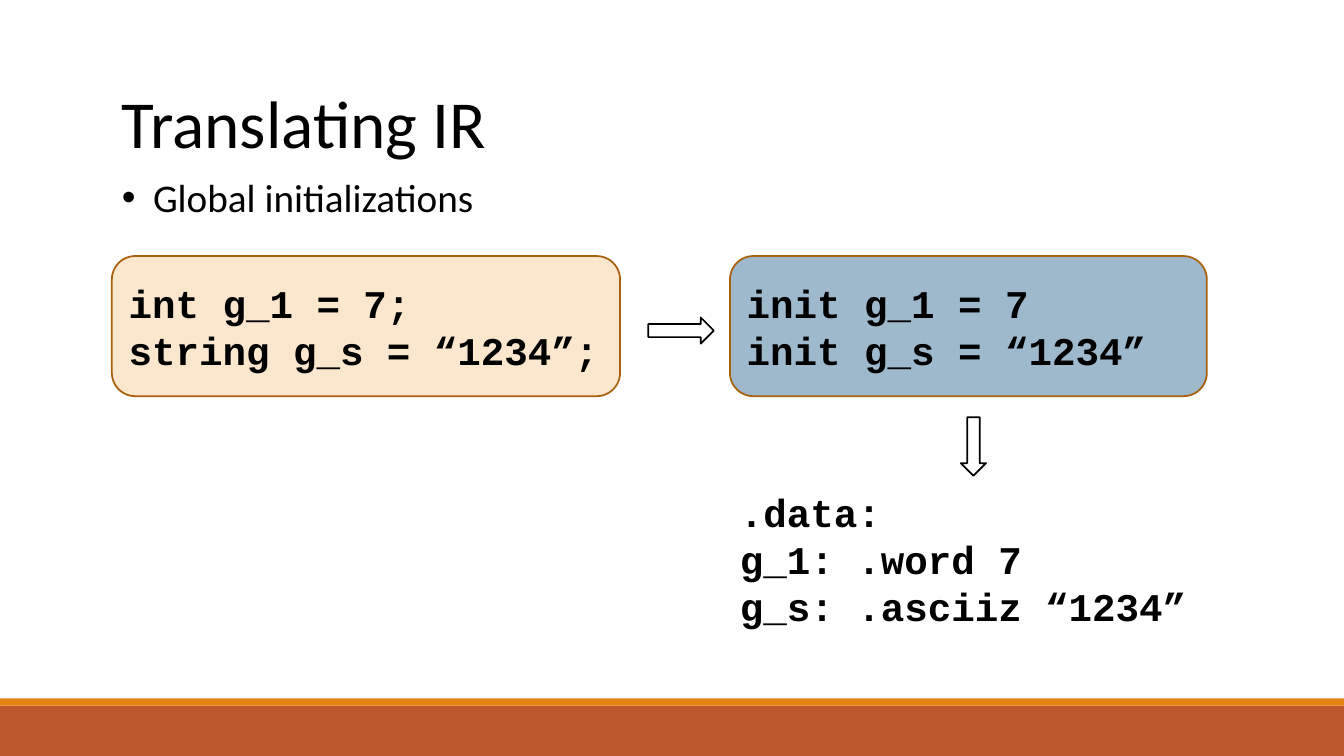
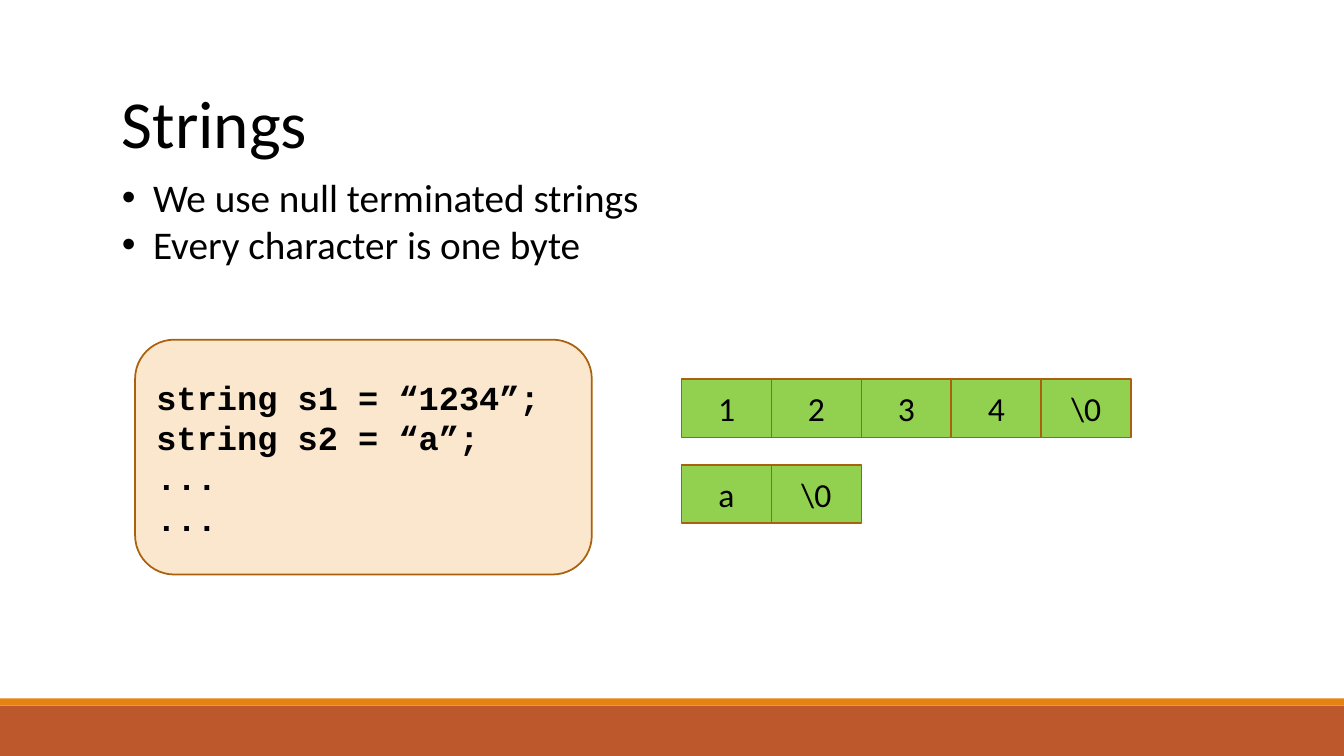
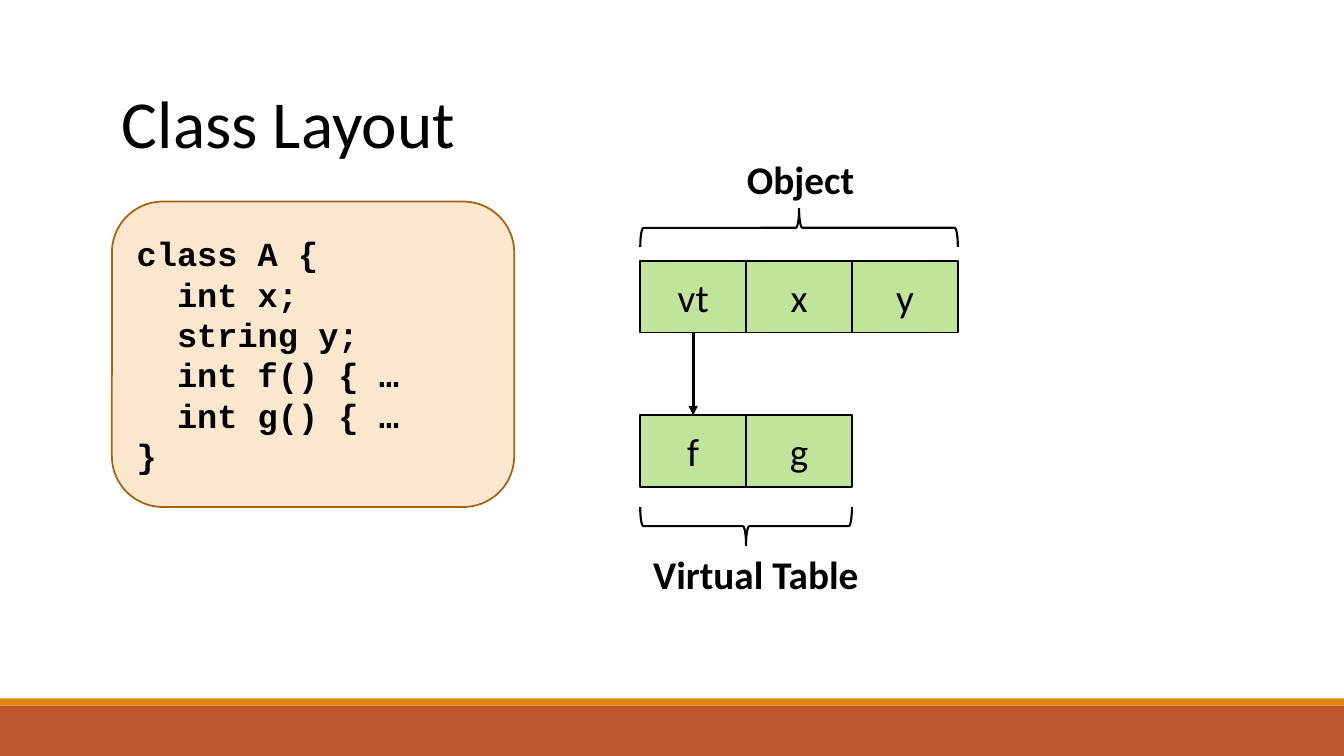
"""Build three compiler-course slides on IR globals, strings and class layout."""
from dataclasses import dataclass

from lxml import etree
from pptx import Presentation
from pptx.dml.color import RGBColor
from pptx.enum.shapes import MSO_CONNECTOR, MSO_SHAPE
from pptx.enum.text import MSO_ANCHOR, MSO_AUTO_SIZE, PP_ALIGN
from pptx.oxml.ns import qn
from pptx.util import Inches, Pt

RECT, ROUNDED = MSO_SHAPE.RECTANGLE, MSO_SHAPE.ROUNDED_RECTANGLE
RIGHT_ARROW, DOWN_ARROW = MSO_SHAPE.RIGHT_ARROW, MSO_SHAPE.DOWN_ARROW
BRACE, STRAIGHT = MSO_SHAPE.LEFT_BRACE, MSO_CONNECTOR.STRAIGHT
LEFT, CENTER = PP_ALIGN.LEFT, PP_ALIGN.CENTER
TOP, MIDDLE = MSO_ANCHOR.TOP, MSO_ANCHOR.MIDDLE
GROW = MSO_AUTO_SIZE.SHAPE_TO_FIT_TEXT
BOTTOM_SITE, TOP_SITE = 2, 0


@dataclass(frozen=True)
class Theme:
    body_font: str = "Calibri"
    code_font: str = "Courier New"
    title_size: int = 48
    text_size: int = 28
    small_size: int = 24
    ink: str = "000000"
    paper: str = "FFFFFF"
    footer: str = "BD582C"
    accent: str = "E48312"
    outline: str = "A9610D"
    source_fill: str = "FBE6CE"
    ir_fill: str = "40749B"
    cell_fill: str = "92D050"
    thin: float = 1.25
    brace: float = 1.5
    pointer: float = 2.25


THEME = Theme()
SLIDE_SIZE = (13.33, 7.5)
BANDS = [(7, 0.5, THEME.footer), (6.93, 0.07, THEME.accent)]
MARGIN = 1.11
TITLE_BOX = (MARGIN, 0.76, 11.09, 0.91)
BULLET_TOP, BULLET_WIDTH, BULLET_LINE = 1.67, 11.27, 0.47
BULLET_INDENT = 0.31

GLOBALS_TITLE = "Translating IR"
GLOBALS_BULLETS = ["Global initializations"]
GLOBALS_SOURCE = ["int g_1 = 7;", "string g_s = “1234”;"]
GLOBALS_IR = ["init g_1 = 7", "init g_s = “1234”"]
GLOBALS_ASSEMBLY = [".data:", "g_1: .word 7", "g_s: .asciiz “1234”"]

STRINGS_TITLE = "Strings"
STRINGS_BULLETS = ["We use null terminated strings", "Every character is one byte"]
STRINGS_SOURCE = ["string s1 = “1234”;", "string s2 = “a”;", "...", "..."]
STRINGS_MEMORY = [["1", "2", "3", "4", "\\0"], ["a", "\\0"]]

CLASS_TITLE = "Class Layout"
CLASS_SOURCE = ["class A {", "  int x;", "  string y;", "  int f() { …", "  int g() { …", "}"]
OBJECT_FIELDS = ["vt", "x", "y"]
VIRTUAL_METHODS = ["f", "g"]


def rgb(color):
    return RGBColor.from_string(color)


def inches(box):
    return [Inches(value) for value in box]


def add_bullet(paragraph):
    properties = paragraph._p.get_or_add_pPr()
    indent = Inches(BULLET_INDENT)
    properties.set("marL", str(indent))
    properties.set("indent", str(-indent))
    etree.SubElement(properties, qn("a:buFont"), typeface="Arial")
    etree.SubElement(properties, qn("a:buChar"), char="•")


def write(shape, lines, size, font=THEME.body_font, bold=False, align=LEFT,
          anchor=MIDDLE, bulleted=False):
    frame = shape.text_frame
    frame.word_wrap = True
    frame.vertical_anchor = anchor
    for index, line in enumerate(lines):
        paragraph = frame.paragraphs[0] if index == 0 else frame.add_paragraph()
        if bulleted:
            add_bullet(paragraph)
        paragraph.alignment = align
        run = paragraph.add_run()
        run.text = line
        run.font.name, run.font.size, run.font.bold = font, Pt(size), bold
        run.font.color.rgb = rgb(THEME.ink)


def add_text(slide, box, lines, size, **style):
    label = slide.shapes.add_textbox(*inches(box))
    write(label, lines, size, anchor=TOP, **style)
    label.text_frame.auto_size = GROW


def add_figure(shapes, kind, box, fill=None, line=None, width=THEME.thin, alpha=None):
    figure = shapes.add_shape(kind, *inches(box))
    figure.shadow.inherit = False
    if fill:
        figure.fill.solid()
        figure.fill.fore_color.rgb = rgb(fill)
    else:
        figure.fill.background()
    if alpha:
        color = figure.element.spPr.find(qn("a:solidFill"))[0]
        etree.SubElement(color, qn("a:alpha"), val=str(alpha * 1000))
    if line:
        figure.line.color.rgb = rgb(line)
        figure.line.width = Pt(width)
    else:
        figure.line.fill.background()
    return figure


def add_code(slide, box, lines, size, fill=THEME.source_fill, alpha=None):
    panel = add_figure(slide.shapes, ROUNDED, box, fill, THEME.outline, alpha=alpha)
    write(panel, lines, size, THEME.code_font, bold=True)


def add_cells(slide, left, top, width, height, values, size, line, alpha=None):
    row = slide.shapes.add_group_shape()
    cells = []
    for index, value in enumerate(values):
        box = (left + index * width, top, width, height)
        cell = add_figure(row.shapes, RECT, box, THEME.cell_fill, line, alpha=alpha)
        write(cell, [value], size, align=CENTER)
        cells.append(cell)
    return cells


def add_brace(slide, left, top, span, depth, rotation):
    box = (left + (span - depth) / 2, top + (depth - span) / 2, depth, span)
    brace = add_figure(slide.shapes, BRACE, box, line=THEME.ink, width=THEME.brace)
    brace.rotation = rotation


def add_pointer(slide, source, target):
    pointer = slide.shapes.add_connector(STRAIGHT, 0, 0, 0, 0)
    pointer.begin_connect(source, BOTTOM_SITE)
    pointer.end_connect(target, TOP_SITE)
    pointer.line.color.rgb = rgb(THEME.ink)
    pointer.line.width = Pt(THEME.pointer)
    properties = pointer.element.spPr
    etree.SubElement(properties.find(qn("a:ln")), qn("a:tailEnd"), type="triangle")
    etree.SubElement(properties, qn("a:effectLst"))


def add_bands(layout, slide):
    for placeholder in list(layout.placeholders):
        layout.shapes.element.remove(placeholder.element)
    bands = [add_figure(slide.shapes, RECT, (0, top, SLIDE_SIZE[0], height), fill)
             for top, height, fill in BANDS]
    for band in bands:
        layout.shapes.element.append(band.element)


def add_heading(slide, title, bullets=()):
    add_text(slide, TITLE_BOX, [title], THEME.title_size)
    if bullets:
        box = (MARGIN, BULLET_TOP, BULLET_WIDTH, 0.1 + BULLET_LINE * len(bullets))
        add_text(slide, box, bullets, THEME.text_size, bulleted=True)


def build_globals(slide):
    add_heading(slide, GLOBALS_TITLE, GLOBALS_BULLETS)
    top, height, ir_left = 2.54, 1.39, 7.24
    add_code(slide, (MARGIN, top, 5.04, height), GLOBALS_SOURCE, THEME.text_size)
    add_code(slide, (ir_left, top, 4.73, height), GLOBALS_IR, THEME.text_size,
             THEME.ir_fill, alpha=50)
    assembly = slide.shapes.add_textbox(*inches((ir_left, 4.54, 4.82, 2)))
    write(assembly, GLOBALS_ASSEMBLY, THEME.text_size, THEME.code_font, bold=True)
    for kind, box in [(RIGHT_ARROW, (6.43, 3.15, 0.65, 0.26)),
                      (DOWN_ARROW, (9.53, 4.14, 0.25, 0.58))]:
        add_figure(slide.shapes, kind, box, THEME.paper, THEME.ink)


def build_strings(slide):
    add_heading(slide, STRINGS_TITLE, STRINGS_BULLETS)
    add_code(slide, (1.34, 3.37, 4.53, 2.33), STRINGS_SOURCE, THEME.small_size)
    left, top, pitch, width, height = 6.76, 3.76, 0.85, 4.46 / 5, 0.58
    for index, characters in enumerate(STRINGS_MEMORY):
        add_cells(slide, left, top + index * pitch, width, height, characters,
                  THEME.small_size, THEME.outline)


def build_class_layout(slide):
    add_heading(slide, CLASS_TITLE)
    add_code(slide, (MARGIN, 2, 3.99, 3.03), CLASS_SOURCE, THEME.small_size)
    left, width, height, depth = 6.35, 1.05, 0.71, 0.38
    fields, methods = [
        add_cells(slide, left, top, width, height, names, THEME.text_size, THEME.ink, 57)
        for top, names in [(2.59, OBJECT_FIELDS), (4.12, VIRTUAL_METHODS)]]
    add_pointer(slide, fields[0], methods[0])
    add_brace(slide, left, 2.07, width * len(fields), depth, 90)
    add_brace(slide, left, 5.03, width * len(methods), depth, 270)
    for label, x, y in [("Object", 7.31, 1.49), ("Virtual Table", 6.38, 5.41)]:
        add_text(slide, (x, y, 2.79, 0.57), [label], THEME.text_size, bold=True)


def main():
    deck = Presentation()
    deck.slide_width, deck.slide_height = inches(SLIDE_SIZE)
    blank = deck.slide_layouts[6]
    builders = [build_globals, build_strings, build_class_layout]
    slides = [deck.slides.add_slide(blank) for _ in builders]
    add_bands(blank, slides[0])
    for build, slide in zip(builders, slides):
        build(slide)
    deck.save("out.pptx")


if __name__ == "__main__":
    main()
